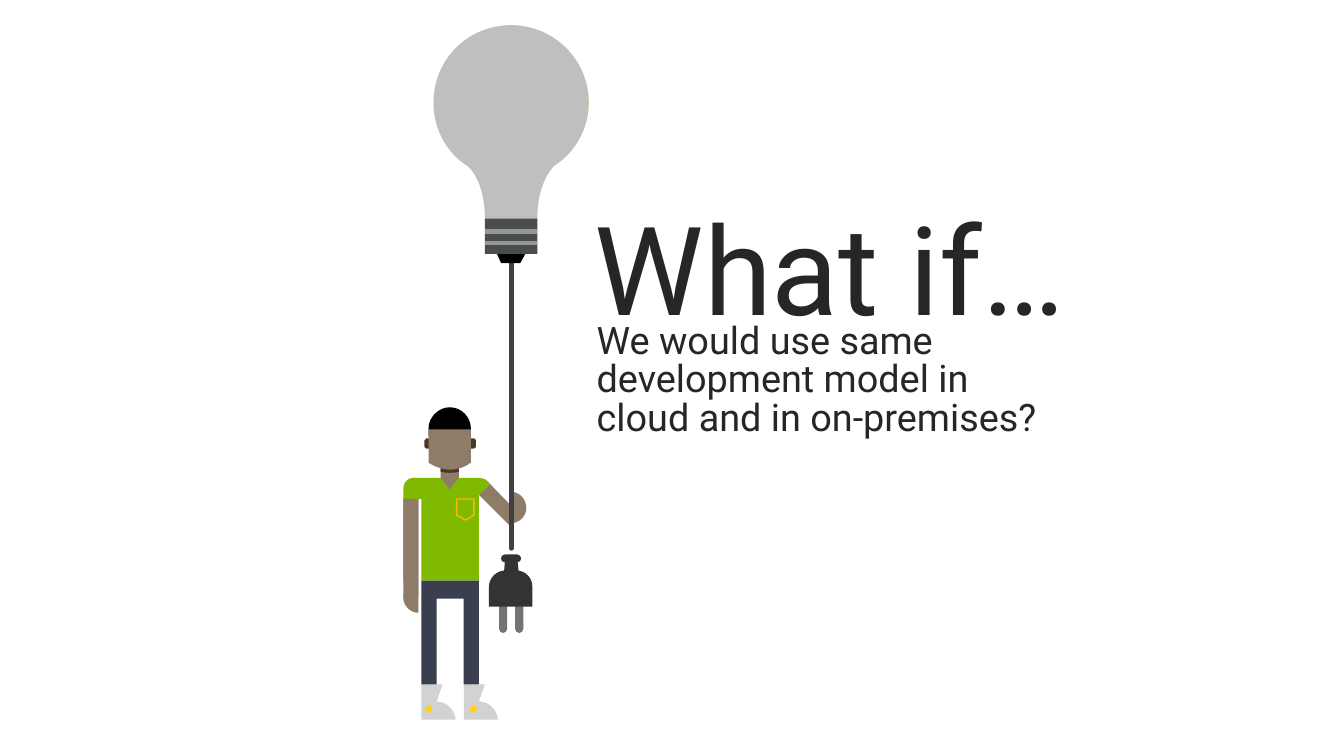
from lxml import etree
from pptx import Presentation
from pptx.dml.color import RGBColor
from pptx.enum.shapes import MSO_CONNECTOR, MSO_SHAPE
from pptx.enum.text import MSO_ANCHOR, PP_ALIGN
from pptx.oxml.ns import qn
from pptx.util import Pt

PX = 9144
SKIN, DARK_SKIN, SHIRT, TROUSERS = "8E7C69", "493827", "7FBA00", "3A3F4F"
SHOE, PLUG, PRONG, BAND = "D2D2D2", "333333", "737373", "969696"

TITLE = "What if…"
QUESTION = "We would use same development model in cloud and in on-premises?"

EARS = [(421, 443), (421, 444, 422, 445, 423, 445), (470, 445),
        (471, 445, 472, 444, 472, 443), (472, 437),
        (472, 436, 471, 435, 470, 435), (423, 435),
        (422, 435, 421, 436, 421, 437)]
LEFT_HAND = [(415, 578), (415, 608), (407, 608, 400, 601, 400, 593),
             (400, 585, 407, 578, 415, 578)]
NECK = [(446, 490), (455, 488), (455, 454), (437, 454), (437, 490)]
CHIN_SHADE = [(455, 468), (453, 469, 449, 469, 446, 469),
              (444, 469, 440, 469, 437, 468), (437, 454), (455, 454)]
HAIR = [(446, 404), (458, 404, 467, 414, 467, 425), (467, 433), (425, 433),
        (425, 425), (425, 414, 435, 404, 446, 404)]
FACE = [(467, 426), (467, 459), (462, 463, 454, 466, 446, 466),
        (435, 466, 425, 459, 425, 459), (425, 426)]
RIGHT_ARM = [(483, 477), (480, 474, 475, 474, 472, 477),
             (469, 480, 469, 485, 472, 488), (507, 523), (510, 505)]
SHOE_OUTLINE = [(433, 696), (439, 679), (418, 679), (418, 714), (452, 714),
                (451, 704, 443, 696, 433, 696)]
SHIRT_OUTLINE = [(475, 474), (455, 474), (446, 486), (437, 474), (410, 474),
                 (404, 474, 400, 479, 400, 485), (400, 495), (418, 495),
                 (418, 576), (475, 576), (475, 491), (486, 481),
                 (486, 481, 482, 474, 475, 474)]
RIGHT_HAND = [(507, 519), (507, 488), (515, 488, 522, 495, 522, 504),
              (522, 512, 515, 519, 507, 519)]
TROUSER_OUTLINE = [(418, 576), (475, 576), (475, 679), (460, 679), (460, 594),
                   (433, 594), (433, 679), (418, 679)]
PRONG_OUTLINE = [(503, 590), (503, 588, 501, 586, 499, 586),
                 (497, 586, 495, 588, 495, 590), (495, 624),
                 (495, 626, 497, 628, 499, 628),
                 (501, 628, 503, 626, 503, 624)]
PLUG_BODY = [(485, 602), (485, 582), (485, 573, 493, 566, 501, 566),
             (512, 566), (521, 566, 528, 573, 528, 582), (528, 602)]
PLUG_NECK = [(513, 554), (501, 554), (499, 580), (516, 580)]
PLUG_COLLAR = [(517, 554), (517, 552, 515, 550, 513, 550), (501, 550),
               (498, 550, 497, 552, 497, 554), (497, 556, 498, 558, 501, 558),
               (513, 558), (515, 558, 517, 556, 517, 554)]
POCKET = [(470, 511), (462, 516), (453, 511), (453, 495), (470, 495)]
BULB = [(584, 102), (584, 59, 549, 25, 507, 25), (464, 25, 430, 59, 430, 102),
        (430, 128, 443, 152, 464, 165), (464, 165, 481, 178, 481, 217),
        (507, 228), (533, 217), (533, 213), (534, 180, 548, 167, 549, 165),
        (570, 152, 584, 128, 584, 102)]
BULB_TIP = [(493, 252), (497, 261), (516, 261), (521, 252)]

ONCE = (0,)
PARTS = [
    ("outline", DARK_SKIN, EARS, ONCE),
    ("rectangle", SKIN, (400, 494, 15, 99), ONCE),
    ("outline", SKIN, LEFT_HAND, ONCE),
    ("outline", SKIN, NECK, ONCE),
    ("outline", DARK_SKIN, CHIN_SHADE, ONCE),
    ("outline", "000000", HAIR, ONCE),
    ("outline", SKIN, FACE, ONCE),
    ("outline", SKIN, RIGHT_ARM, ONCE),
    ("outline", SHOE, SHOE_OUTLINE, (0, 42)),
    ("outline", SHIRT, SHIRT_OUTLINE, ONCE),
    ("rectangle", SKIN, (400, 495, 15, 82), ONCE),
    ("outline", SKIN, RIGHT_HAND, ONCE),
    ("outline", TROUSERS, TROUSER_OUTLINE, ONCE),
    ("round line", "404040", (507, 261, 507, 544), ONCE),
    ("outline", "FFFC9E", BULB, ONCE),
    ("outline", PRONG, PRONG_OUTLINE, (0, 16)),
    ("outline", PLUG, PLUG_BODY, ONCE),
    ("outline", PLUG, PLUG_NECK, ONCE),
    ("outline", PLUG, PLUG_COLLAR, ONCE),
    ("stroke", "FFB900", POCKET, ONCE),
    ("ellipse", "FCD116", (422, 700, 7, 7), (0, 44)),
    ("outline", "BFBFBF", BULB, ONCE),
    ("rectangle", "4A4D4E", (481, 217, 52, 35), ONCE),
    ("line", BAND, (481, 230, 533, 230), ONCE),
    ("line", BAND, (481, 241, 533, 241), ONCE),
    ("outline", "000000", BULB_TIP, ONCE),
]


def colour(value):
    return RGBColor.from_string(value)


def emu(values):
    return [round(value * PX) for value in values]


def add_outline(slide, segments, shift):
    anchors = [tuple(emu((segment[-2] + shift, segment[-1]))) for segment in segments]
    builder = slide.shapes.build_freeform(*anchors[0])
    builder.add_line_segments(anchors[1:], close=True)
    shape = builder.convert_to_shape()
    steps = list(shape._element.iter(qn("a:lnTo")))
    for step, segment in zip(steps, segments[1:]):
        if len(segment) == 2:
            continue
        step.clear()
        curve = etree.Element(qn("a:cubicBezTo"))
        for x, y in zip(segment[::2], segment[1::2]):
            left, top = emu((x + shift, y))
            point = etree.SubElement(curve, qn("a:pt"))
            point.set("x", str(left - shape.left))
            point.set("y", str(top - shape.top))
        step.getparent().replace(step, curve)
    return shape


def add_line(slide, value, ends, rounded):
    connector = slide.shapes.add_connector(MSO_CONNECTOR.STRAIGHT, *emu(ends))
    connector.line.color.rgb = colour(value)
    connector.line.width = Pt(3.38)
    properties = connector._element.spPr
    if rounded:
        properties.find(qn("a:ln")).set("cap", "rnd")
    etree.SubElement(properties, qn("a:effectLst"))


def add_part(slide, kind, value, geometry, shift):
    if kind in ("line", "round line"):
        add_line(slide, value, geometry, kind == "round line")
        return
    if kind in ("outline", "stroke"):
        shape = add_outline(slide, geometry, shift)
    else:
        preset = MSO_SHAPE.OVAL if kind == "ellipse" else MSO_SHAPE.RECTANGLE
        left, top, width, height = geometry
        shape = slide.shapes.add_shape(preset, *emu((left + shift, top, width, height)))
    shape.shadow.inherit = False
    if kind == "stroke":
        shape.fill.background()
        shape.line.color.rgb = colour(value)
        shape.line.width = Pt(1)
    else:
        shape.fill.solid()
        shape.fill.fore_color.rgb = colour(value)
        shape.line.fill.background()


def add_text(slide, text, box, size, align=PP_ALIGN.LEFT):
    frame = slide.shapes.add_textbox(*emu(box)).text_frame
    frame.word_wrap = True
    frame.vertical_anchor = MSO_ANCHOR.TOP
    paragraph = frame.paragraphs[0]
    paragraph.alignment = align
    paragraph.line_spacing = 0.85
    run = paragraph.add_run()
    run.text = text
    run.font.name = "Roboto"
    run.font.size = Pt(size)
    run.font.color.rgb = colour("262626")


def main():
    presentation = Presentation()
    presentation.slide_width, presentation.slide_height = emu((1333, 750))
    slide = presentation.slides.add_slide(presentation.slide_layouts[6])
    add_text(slide, TITLE, (550, 208, 516, 133), size=88, align=PP_ALIGN.RIGHT)
    add_text(slide, QUESTION, (582, 316, 486, 51), size=27)
    for kind, value, geometry, shifts in PARTS:
        for shift in shifts:
            add_part(slide, kind, value, geometry, shift)
    presentation.save("out.pptx")


if __name__ == "__main__":
    main()
